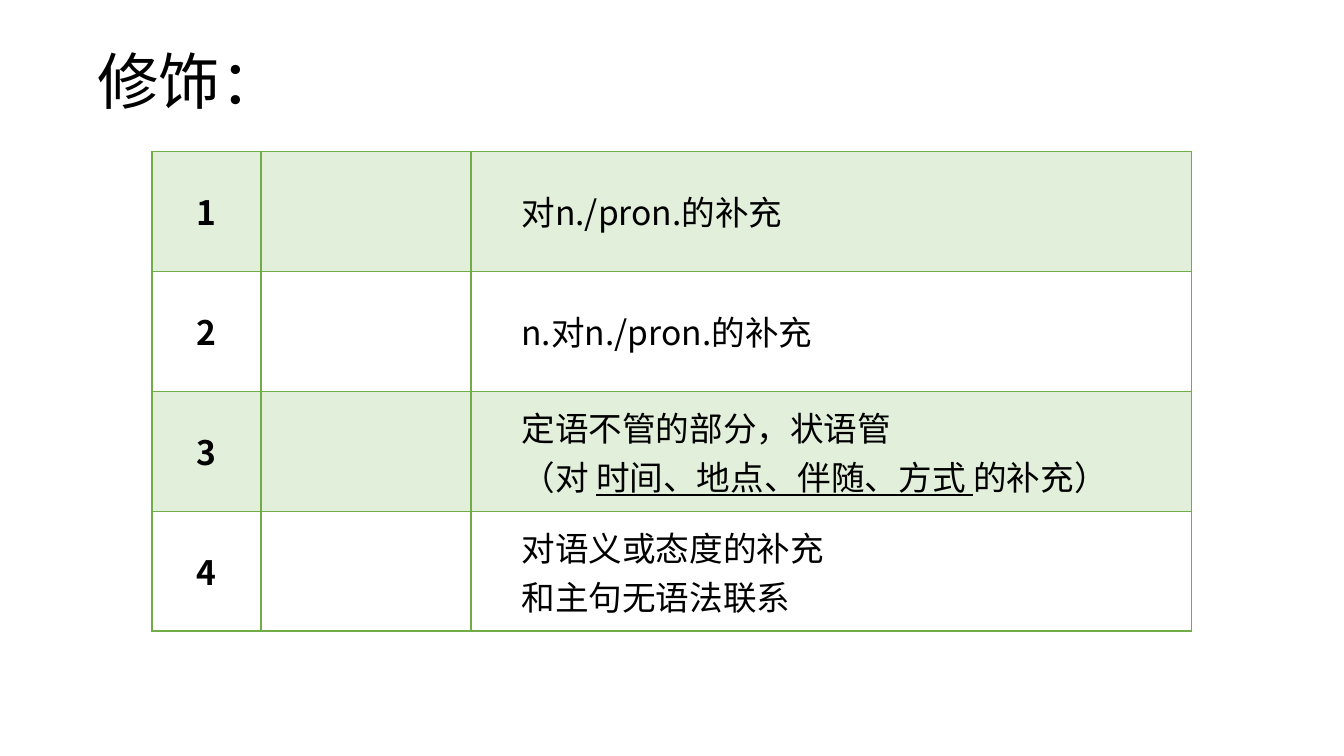
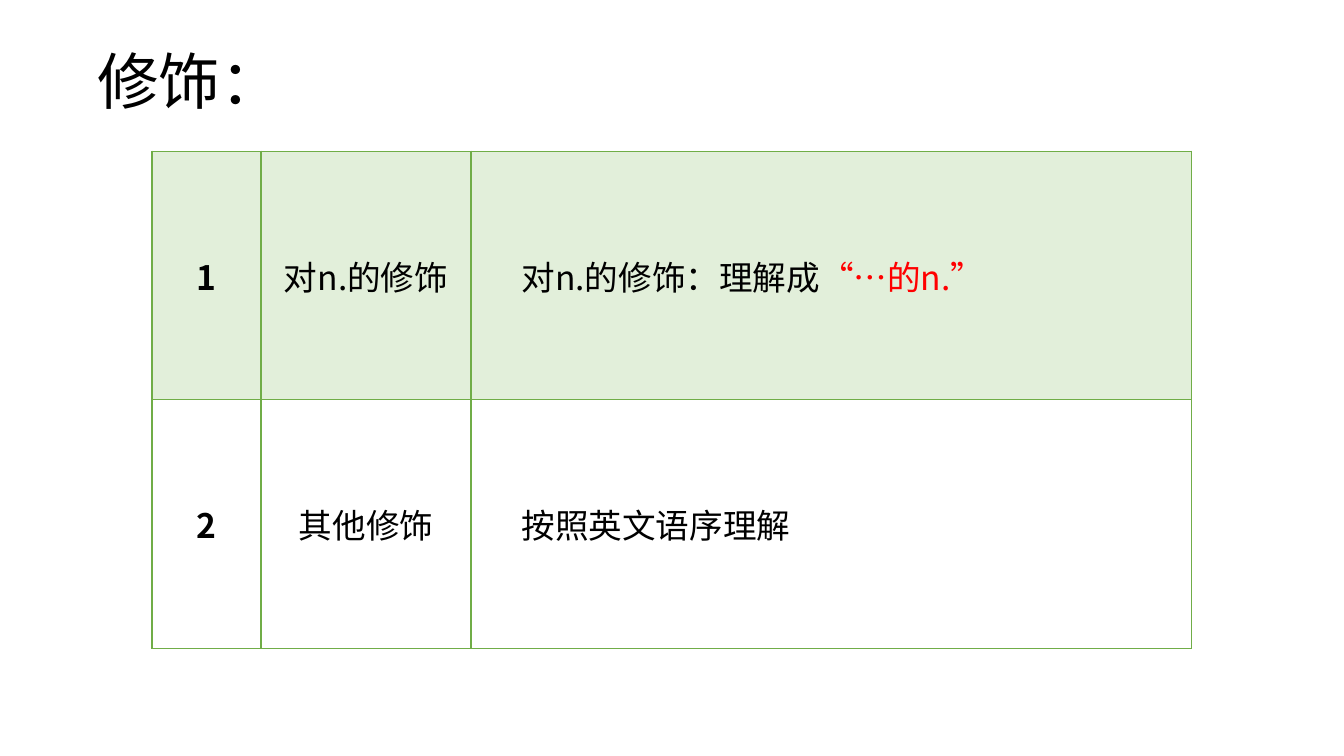
from dataclasses import dataclass

from lxml.etree import SubElement
from pptx import Presentation
from pptx.dml.color import RGBColor
from pptx.enum.text import MSO_ANCHOR, PP_ALIGN
from pptx.oxml.ns import qn
from pptx.slide import Slide
from pptx.table import _Cell
from pptx.text.text import TextFrame, _Paragraph
from pptx.util import Length, Pt

BLACK = RGBColor(0x00, 0x00, 0x00)
RED = RGBColor(0xFF, 0x00, 0x00)
GREEN = RGBColor(0x70, 0xAD, 0x47)
PALE_GREEN = RGBColor(0xE2, 0xEF, 0xDA)
FONT = "Noto Sans CJK SC"
TITLE = "修饰："
TABLE_LEFT, TABLE_TOP = Pt(108.5), Pt(108)
COLUMN_WIDTHS = (Pt(78), Pt(150), Pt(514.8))
DETAIL_INDENT = Pt(36)


@dataclass(frozen=True)
class Span:
    text: str
    color: RGBColor = BLACK
    underline: bool = False


@dataclass(frozen=True)
class Entry:
    label: str
    detail_lines: tuple[tuple[Span, ...], ...]


@dataclass(frozen=True)
class TableSlide:
    row_height: Length
    entries: tuple[Entry, ...]


TABLE_SLIDES = (
    TableSlide(Pt(85.7), (
        Entry("", ((Span("对n./pron.的补充"),),)),
        Entry("", ((Span("n.对n./pron.的补充"),),)),
        Entry("", (
            (Span("定语不管的部分，状语管"),),
            (
                Span("（对 "),
                Span("时间、地点、伴随、方式 ", underline=True),
                Span("的补充）"),
            ),
        )),
        Entry("", (
            (Span("对语义或态度的补充"),),
            (Span("和主句无语法联系"),),
        )),
    )),
    TableSlide(Pt(177.6), (
        Entry("对n.的修饰", (
            (Span("对n.的修饰：理解成"), Span("“…的n.”", color=RED)),
        )),
        Entry("其他修饰", ((Span("按照英文语序理解"),),)),
    )),
)


def add_text(
    paragraph: _Paragraph,
    text: str,
    *,
    size: Length = Pt(24),
    color: RGBColor = BLACK,
    bold: bool = False,
    underline: bool = False,
) -> None:
    run = paragraph.add_run()
    run.text = text
    font = run.font
    font.size = size
    font.bold = bold
    font.underline = underline
    font.color.rgb = color
    font.name = FONT
    SubElement(font._element, qn("a:ea"), typeface=FONT)


def add_title(slide: Slide) -> None:
    box = slide.shapes.add_textbox(Pt(66), Pt(28.8), Pt(828), Pt(62.6))
    frame = box.text_frame
    frame.word_wrap = True
    frame.vertical_anchor = MSO_ANCHOR.MIDDLE
    frame.margin_left = frame.margin_right = Pt(3.6)
    frame.margin_top = frame.margin_bottom = Pt(3.6)
    paragraph = frame.paragraphs[0]
    paragraph.line_spacing = 0.9
    add_text(paragraph, TITLE, size=Pt(44))


def format_cell(cell: _Cell, shaded: bool) -> None:
    cell.margin_left = cell.margin_right = Pt(0)
    cell.margin_top = cell.margin_bottom = Pt(0)
    cell.vertical_anchor = MSO_ANCHOR.MIDDLE
    properties = cell._tc.get_or_add_tcPr()
    for side in ("lnL", "lnR", "lnT", "lnB"):
        border = SubElement(properties, qn(f"a:{side}"), w=str(Pt(1)))
        fill = SubElement(border, qn("a:solidFill"))
        SubElement(fill, qn("a:srgbClr"), val=str(GREEN))
    if shaded:
        cell.fill.solid()
        cell.fill.fore_color.rgb = PALE_GREEN
    else:
        cell.fill.background()


def write_centered(frame: TextFrame, text: str, *, bold: bool = False) -> None:
    paragraph = frame.paragraphs[0]
    paragraph.alignment = PP_ALIGN.CENTER
    if text:
        add_text(paragraph, text, bold=bold)


def write_detail(frame: TextFrame, lines: tuple[tuple[Span, ...], ...]) -> None:
    for index, spans in enumerate(lines):
        paragraph = frame.paragraphs[0] if index == 0 else frame.add_paragraph()
        paragraph.level = 1
        properties = paragraph._p.get_or_add_pPr()
        properties.set("marL", str(DETAIL_INDENT))
        properties.set("indent", "0")
        for span in spans:
            add_text(paragraph, span.text, color=span.color, underline=span.underline)


def add_entry_table(slide: Slide, content: TableSlide) -> None:
    row_count = len(content.entries)
    table = slide.shapes.add_table(
        row_count, len(COLUMN_WIDTHS), TABLE_LEFT, TABLE_TOP,
        sum(COLUMN_WIDTHS), content.row_height * row_count,
    ).table
    table.first_row = False
    table.horz_banding = False
    for column, width in zip(table.columns, COLUMN_WIDTHS):
        column.width = width
    for index, (row, entry) in enumerate(zip(table.rows, content.entries)):
        row.height = content.row_height
        for cell in row.cells:
            format_cell(cell, shaded=index % 2 == 0)
        number, label, detail = (cell.text_frame for cell in row.cells)
        write_centered(number, str(index + 1), bold=True)
        write_centered(label, entry.label)
        write_detail(detail, entry.detail_lines)


def main() -> None:
    presentation = Presentation()
    presentation.slide_width = Pt(960)
    presentation.slide_height = Pt(540)
    for content in TABLE_SLIDES:
        slide = presentation.slides.add_slide(presentation.slide_layouts[6])
        add_entry_table(slide, content)
        add_title(slide)
    presentation.save("out.pptx")


main()
